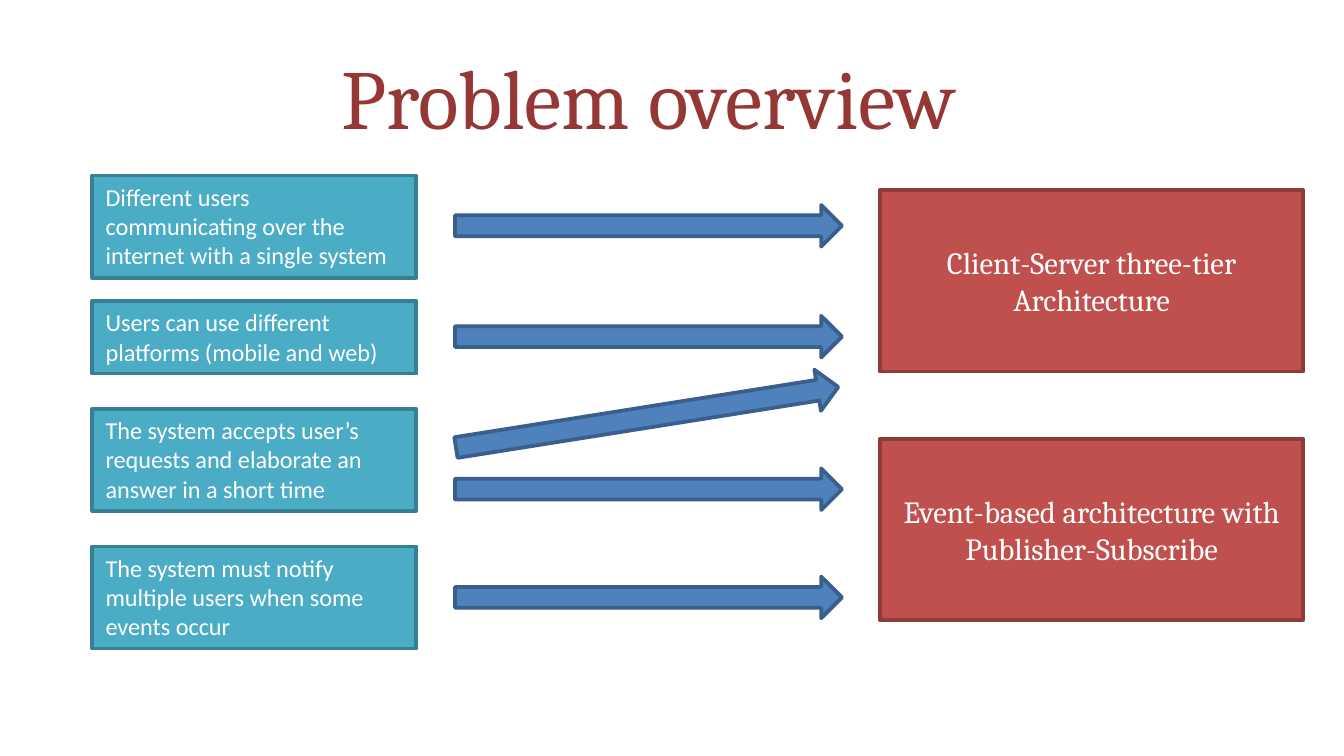
from pptx import Presentation
from pptx import util as u
from pptx.dml import color
from pptx.enum import shapes, text

WIDTH = 10
HEIGHT = WIDTH * 9 / 16
CELL = 0.1
COLORS = {
    "background": "FFFFFF",
    "title": "953735",
    "text": "FFFFFF",
    "requirement": "4BACC6",
    "requirement_line": "377F92",
    "arrow": "4F81BD",
    "arrow_line": "3A5F8C",
    "architecture": "C0504D",
    "architecture_line": "8E3B39",
}


def rgb(name):
    return color.RGBColor.from_string(COLORS[name])


def cells(count):
    return u.Inches(count * CELL)


def write_text(shape, content, font="Calibri", size=13, fill="text",
               align=text.PP_ALIGN.LEFT, anchor=text.MSO_ANCHOR.TOP,
               auto_size=text.MSO_AUTO_SIZE.NONE):
    frame = shape.text_frame
    frame.word_wrap = True
    frame.auto_size = auto_size
    frame.vertical_anchor = anchor
    frame.margin_left = frame.margin_right = u.Inches(0.1)
    frame.margin_top = frame.margin_bottom = u.Inches(0.05)
    paragraph = frame.paragraphs[0]
    paragraph.alignment = align
    run = paragraph.add_run()
    run.text = content
    run.font.name = font
    run.font.size = u.Pt(size)
    run.font.color.rgb = rgb(fill)


class SlideBuilder:
    heading_font = "Cambria"
    line_width = 2

    def __init__(self, presentation):
        self.slide = presentation.slides.add_slide(presentation.slide_layouts[5])
        background = self.slide.background.fill
        background.solid()
        background.fore_color.rgb = rgb("background")

    def title(self, content, column, row, columns, rows):
        shape = self.slide.shapes.title
        shape.left, shape.top = cells(column), cells(row)
        shape.width, shape.height = cells(columns), cells(rows)
        write_text(shape, content, font=self.heading_font, size=45, fill="title",
                   align=text.PP_ALIGN.CENTER, anchor=text.MSO_ANCHOR.MIDDLE)

    def block(self, kind, style, column, row, columns, rows):
        shape = self.slide.shapes.add_shape(
            kind, cells(column), cells(row), cells(columns), cells(rows))
        shape.shadow.inherit = False
        shape.fill.solid()
        shape.fill.fore_color.rgb = rgb(style)
        shape.line.color.rgb = rgb(style + "_line")
        shape.line.width = u.Pt(self.line_width)
        return shape

    def requirement(self, content, row, rows):
        shape = self.block(shapes.MSO_SHAPE.RECTANGLE, "requirement",
                           6.87, row, 24.1, rows)
        write_text(shape, content,
                   auto_size=text.MSO_AUTO_SIZE.SHAPE_TO_FIT_TEXT)

    def architecture(self, content, row):
        shape = self.block(shapes.MSO_SHAPE.RECTANGLE, "architecture",
                           65.47, row, 31.5, 13.5)
        write_text(shape, content, font=self.heading_font, size=16.5,
                   align=text.PP_ALIGN.CENTER, anchor=text.MSO_ANCHOR.MIDDLE)

    def arrow(self, row, column=33.85, rotation=0):
        shape = self.block(shapes.MSO_SHAPE.RIGHT_ARROW, "arrow",
                           column, row, 28.8, 3.1)
        shape.rotation = rotation


def main():
    presentation = Presentation()
    presentation.slide_width = u.Inches(WIDTH)
    presentation.slide_height = u.Inches(HEIGHT)
    builder = SlideBuilder(presentation)
    builder.title("Problem overview", 3.27, 2.4, 90, 9.4)

    requirements = [
        ("Different users communicating over the internet with a single system",
         13.07, 7.6),
        ("Users can use different platforms (mobile and web)", 22.4, 5.4),
        ("The system accepts user’s requests and elaborate an answer in a short time",
         30.42, 7.6),
        ("The system must notify multiple users when some events occur", 40.67, 7.6),
    ]
    for content, row, rows in requirements:
        builder.requirement(content, row, rows)

    for row in (15.25, 23.5, 34.85, 42.9):
        builder.arrow(row)
    builder.arrow(29.5, column=33.75, rotation=351)

    builder.architecture("Client-Server three-tier Architecture", 14.15)
    builder.architecture("Event-based architecture with Publisher-Subscribe", 32.65)
    presentation.save("out.pptx")


if __name__ == "__main__":
    main()
